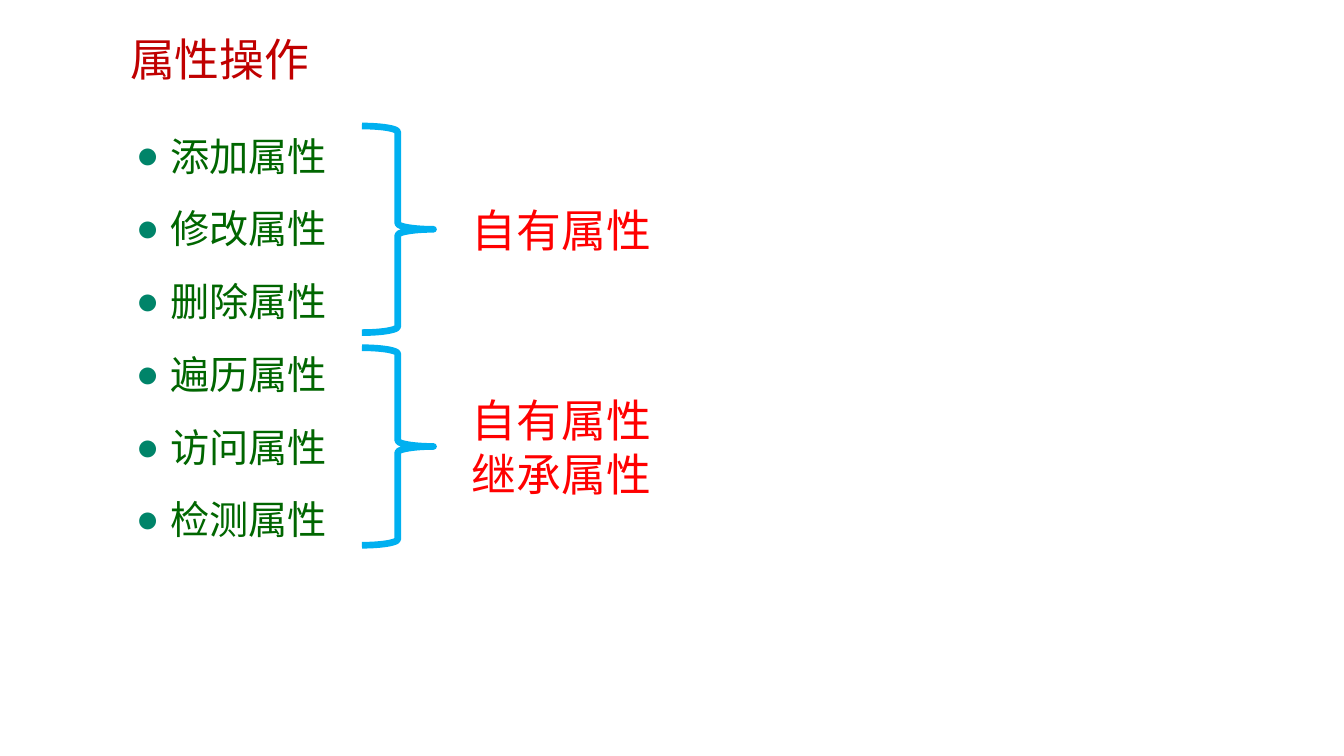
"""Build the slide on property operations: a bulleted list grouped by two braces."""
from lxml import etree
from pptx import Presentation
from pptx.dml.color import RGBColor
from pptx.enum.shapes import MSO_SHAPE
from pptx.enum.text import MSO_ANCHOR, PP_ALIGN
from pptx.oxml.ns import qn
from pptx.util import Inches, Pt

RIGHT_BRACE = MSO_SHAPE.RIGHT_BRACE
TOP = MSO_ANCHOR.TOP
LEFT = PP_ALIGN.LEFT

THEME = {
    "title": {"font": "Arial", "size": 32, "color": "C00000", "line": 38.6, "after": 0},
    "item": {"font": "Noto Sans CJK SC", "size": 28, "color": "006600", "line": 40, "after": 12},
    "label": {"font": "Noto Sans CJK SC", "size": 32, "color": "FF0000", "line": 38.6, "after": 0},
    "fallback": "Arial",
    "bullet": "008469",
    "brace": "00B0F0",
    "paper": "FFFFFF",
}
ITEMS = ["添加属性", "修改属性", "删除属性", "遍历属性", "访问属性", "检测属性"]
GROUPS = [
    {"brace": (1.25, 2.05), "label": (1.96, 0.64), "lines": ["自有属性"]},
    {"brace": (3.45, 1.96), "label": (3.84, 1.18), "lines": ["自有属性", "继承属性"]},
]


def write(box, lines, style, wrap=True):
    """Fill a box with one styled paragraph per line and return the paragraphs."""
    frame = box.text_frame
    frame.word_wrap = wrap
    frame.vertical_anchor = TOP
    frame.text = "\n".join(lines)
    layout = {
        "alignment": LEFT,
        "line_spacing": Pt(style["line"]),
        "space_before": Pt(0),
        "space_after": Pt(style["after"]),
    }
    for para in frame.paragraphs:
        for name, value in layout.items():
            setattr(para, name, value)
        font = para.runs[0].font
        font.name = style["font"]
        font.size = Pt(style["size"])
        font.color.rgb = RGBColor.from_string(style["color"])
        east_asian = etree.Element(qn("a:ea"), typeface=THEME["fallback"])
        para.runs[0]._r.rPr.find(qn("a:latin")).addnext(east_asian)
    return frame.paragraphs


def add_bullet(para):
    """Give a paragraph a round coloured bullet without indent."""
    props = para._p.get_or_add_pPr()
    props.set("marL", "0")
    props.set("indent", "0")
    color = etree.SubElement(props, qn("a:buClr"))
    etree.SubElement(color, qn("a:srgbClr"), val=THEME["bullet"])
    etree.SubElement(props, qn("a:buFont"), typeface=THEME["fallback"])
    etree.SubElement(props, qn("a:buChar"), char="●")


deck = Presentation()
deck.slide_width, deck.slide_height = Inches(13.33), Inches(7.5)
page = deck.slides.add_slide(deck.slide_layouts[5])

title = page.shapes.title
title.left, title.top = Inches(1.19), Inches(0.26)
title.width, title.height = Inches(8.96), Inches(0.54)
write(title, ["属性操作"], THEME["title"])

item_box = page.shapes.add_textbox(Inches(1.25), Inches(1.17), Inches(10.62), Inches(5.38))
for para in write(item_box, [f" {item}" for item in ITEMS], THEME["item"]):
    add_bullet(para)

for group in GROUPS:
    top, height = group["brace"]
    brace = page.shapes.add_shape(RIGHT_BRACE, Inches(3.59), Inches(top), Inches(0.71), Inches(height))
    brace.shadow.inherit = False
    brace.fill.solid()
    brace.fill.fore_color.rgb = RGBColor.from_string(THEME["paper"])
    brace.line.color.rgb = RGBColor.from_string(THEME["brace"])
    brace.line.width = Pt(4.75)

    top, height = group["label"]
    label = page.shapes.add_textbox(Inches(4.58), Inches(top), Inches(1.98), Inches(height))
    write(label, group["lines"], THEME["label"], wrap=False)

deck.save("out.pptx")
